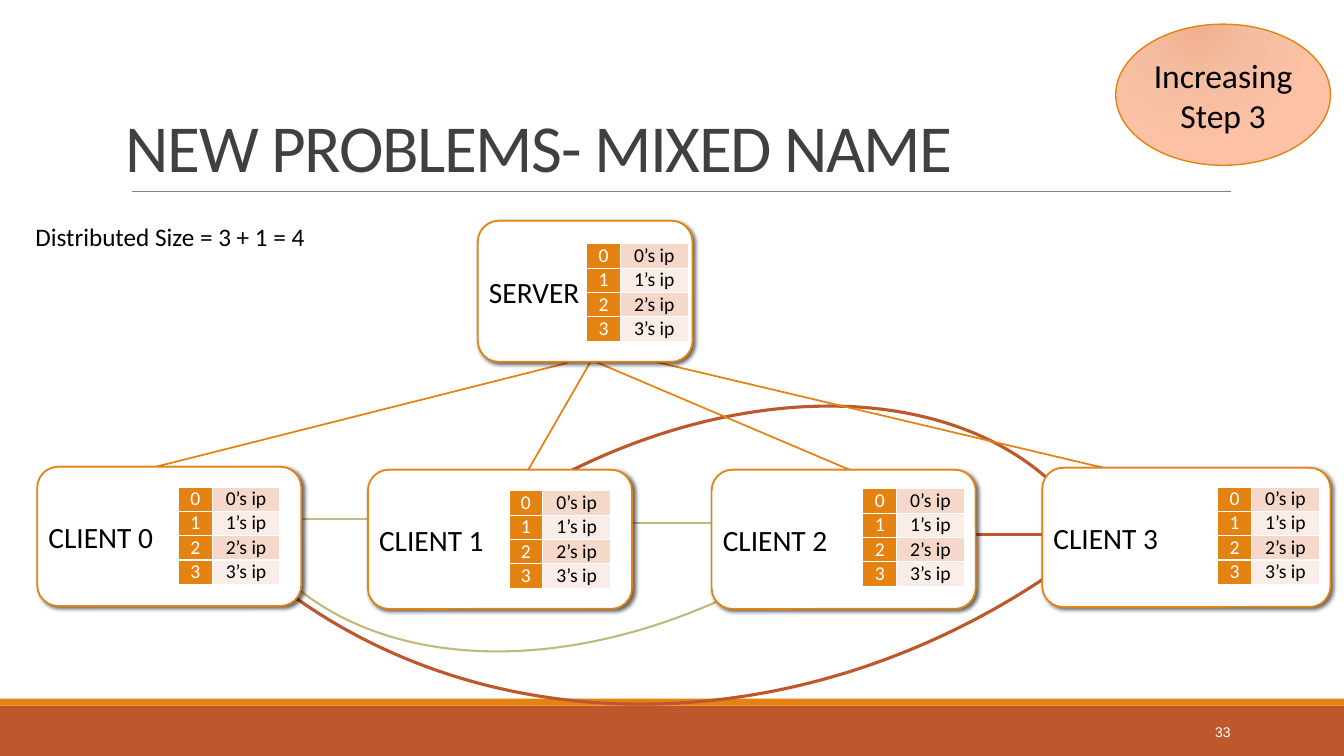
from lxml import etree
from pptx import Presentation
from pptx import util as u
from pptx.dml import color
from pptx.enum import shapes, text
from pptx.oxml import ns, parse_xml

Pt = u.Pt
COLORS = {
    "rust": "BD582C", "orange": "E48312", "olive": "BFB97C", "pale_olive": "C2BC80",
    "gray": "808080", "title": "404040", "black": "000000", "white": "FFFFFF",
    "band_dark": "F5D8CA", "band_light": "FAECE6",
    "peach_dark": "F0B08D", "peach": "F5BDA1", "peach_light": "FDC2A5",
}
PRESET = shapes.MSO_SHAPE
ALIGN = text.PP_ALIGN
ANCHOR = text.MSO_ANCHOR
DRAWING = ns.nsdecls("a")
PEERS = range(4)


def rgb(name):
    return color.RGBColor.from_string(COLORS[name])


def write_text(frame, content, size=18, tint="black", font="Calibri", align=ALIGN.LEFT,
               anchor=ANCHOR.TOP, inset=3.6, wrap=True, leading=None, tracking=None):
    frame.word_wrap = wrap
    frame.vertical_anchor = anchor
    for side in ("left", "top", "right", "bottom"):
        setattr(frame, f"margin_{side}", Pt(inset))
    for index, line in enumerate(content.split("\n")):
        para = frame.add_paragraph() if index else frame.paragraphs[0]
        para.alignment = align
        if leading:
            para.line_spacing = leading
        span = para.add_run()
        span.text = line
        span.font.size = Pt(size)
        span.font.name = font
        span.font.color.rgb = rgb(tint)
        if tracking is not None:
            span.font._element.set("spc", str(tracking * 100))


def add_text(page, box, content, **style):
    frame = page.shapes.add_textbox(*map(Pt, box)).text_frame
    write_text(frame, content, **style)


def add_preset(page, preset, box, fill=None, line=None, width=1.25):
    shape = page.shapes.add_shape(preset, *map(Pt, box))
    shape.shadow.inherit = False
    if fill:
        shape.fill.solid()
        shape.fill.fore_color.rgb = rgb(fill)
    else:
        shape.fill.background()
    if line:
        shape.line.color.rgb = rgb(line)
        shape.line.width = Pt(width)
    else:
        shape.line.fill.background()
    return shape


def add_line(page, start, end, tint, width):
    line = page.shapes.add_connector(shapes.MSO_CONNECTOR.STRAIGHT, *map(Pt, start + end))
    line.line.color.rgb = rgb(tint)
    line.line.width = Pt(width)
    etree.SubElement(line._element.spPr, ns.qn("a:effectLst"))


def add_arc(page, box, turn, tint, width):
    arc = add_preset(page, PRESET.ARC, box, line=tint, width=width)
    arc.rotation = turn


def add_frame(page, box):
    left, top, width, height = box
    add_preset(page, PRESET.RECTANGLE, (left, top + 504, width, 36), "rust")
    add_preset(page, PRESET.RECTANGLE, (left, top + 499, width, 5), "orange")
    add_line(page, (left + 94.3, top + 136.8), (left + 879.1, top + 136.8), "gray", 0.5)
    add_text(page, (left + 86.4, top + 22.3, 792, 114.5), "NEW PROBLEMS- MIXED NAME",
             size=48, tint="title", anchor=ANCHOR.BOTTOM, leading=0.85, tracking=-1)
    add_text(page, (left + 864, top + 514, 18.7, 18), "33", size=10, tint="white",
             font="Arial", align=ALIGN.RIGHT, anchor=ANCHOR.MIDDLE, wrap=False)
    add_text(page, (left + 21.6, top + 154.8, 224.6, 28.1),
             "Distributed Size = 3 + 1 = 4", wrap=False)


def add_links(page):
    add_arc(page, (20.9, -397.4, 992.9, 873.4), 138.7, "rust", 2.25)
    add_arc(page, (157.7, 321.8, 670.3, 461.5), 329, "rust", 2.25)
    add_arc(page, (122.4, -33.8, 670.3, 461.5), 145.7, "olive", 1.5)
    for left, right, level, tint, width in (
        (330.5, 604.1, 373.7, "olive", 1.5),
        (173.5, 262.8, 370.8, "pale_olive", 1.5),
        (676.8, 766.1, 381.6, "rust", 2.25),
    ):
        add_line(page, (left, level), (right, level), tint, width)
    for client_end, server_end in (
        ((105.8, 334.8), (405.4, 259.2)),
        ((370.8, 347), (428.4, 247)),
        ((642.2, 350.6), (425.5, 258.5)),
        ((824.4, 342.7), (437.8, 251.3)),
    ):
        add_line(page, client_end, server_end, "orange", 1.25)


def fill_cell(cell, content, fill, tint):
    write_text(cell.text_frame, content, size=14, tint=tint, align=ALIGN.CENTER, inset=0)
    for side in ("left", "top", "right", "bottom"):
        setattr(cell, f"margin_{side}", 0)
    properties = cell._tc.get_or_add_tcPr()
    for edge in ("lnL", "lnR", "lnT", "lnB"):
        properties.append(parse_xml(
            f'<a:{edge} {DRAWING} w="12700"><a:solidFill>'
            f'<a:srgbClr val="{COLORS["white"]}"/></a:solidFill></a:{edge}>'))
    cell.fill.solid()
    cell.fill.fore_color.rgb = rgb(fill)


def add_address_table(page, left, top):
    box = map(Pt, (left, top, 72.6, 69.6))
    table = page.shapes.add_table(len(PEERS), 2, *box).table
    for column, width in zip(table.columns, (24.2, 48.4)):
        column.width = Pt(width)
    for peer in PEERS:
        table.rows[peer].height = Pt(17.4)
        band = "band_light" if peer % 2 else "band_dark"
        fill_cell(table.cell(peer, 0), str(peer), "orange", "white")
        fill_cell(table.cell(peer, 1), f"{peer}’s ip", band, "black")


def add_node(page, box, name, table_offset):
    node = add_preset(page, PRESET.ROUNDED_RECTANGLE, box, "white", "orange")
    node.adjustments[0] = 0.15
    effects = node._element.spPr.find(ns.qn("a:effectLst"))
    effects.append(parse_xml(
        f'<a:outerShdw {DRAWING} blurRad="38100" dist="25400" dir="2700000" '
        f'algn="tl" rotWithShape="0"><a:srgbClr val="{COLORS["black"]}">'
        '<a:alpha val="60000"/></a:srgbClr></a:outerShdw>'))
    write_text(node.text_frame, name, size=21, anchor=ANCHOR.MIDDLE)
    add_address_table(page, box[0] + table_offset[0], box[1] + table_offset[1])


def add_step_badge(page, box):
    badge = add_preset(page, PRESET.OVAL, box, "peach", "orange", 1)
    stops = "".join(
        f'<a:gs pos="{place * 1000}"><a:srgbClr val="{COLORS[tint]}"/></a:gs>'
        for place, tint in ((0, "peach_dark"), (45, "peach"), (100, "peach_light")))
    gradient = parse_xml(
        f'<a:gradFill {DRAWING} rotWithShape="1"><a:gsLst>{stops}</a:gsLst>'
        '<a:path path="circle"><a:fillToRect l="38000" t="-20000" r="62000" b="120000"/>'
        '</a:path></a:gradFill>')
    properties = badge._element.spPr
    properties.replace(properties.find(ns.qn("a:solidFill")), gradient)
    write_text(badge.text_frame, "Increasing\nStep 3", size=24,
               align=ALIGN.CENTER, anchor=ANCHOR.MIDDLE)


def main():
    deck = Presentation()
    deck.slide_width, deck.slide_height = Pt(960), Pt(540)
    page = deck.slides.add_slide(deck.slide_layouts[6])
    add_frame(page, (0, 0, 960, 540))
    add_links(page)
    for box, name, table_offset in (
        ((341.3, 157.7, 153.4, 100.8), "SERVER", (77.7, 16.5)),
        ((26.6, 333.4, 188.6, 99.4), "CLIENT 0", (100.8, 14.4)),
        ((262.8, 335.5, 188.6, 99.4), "CLIENT 1", (100.8, 15.1)),
        ((508.3, 335.5, 188.6, 99.4), "CLIENT 2", (108, 13.7)),
        ((744.5, 334.1, 205.9, 99.4), "CLIENT 3", (125.3, 13.7)),
    ):
        add_node(page, box, name, table_offset)
    add_step_badge(page, (797, 17.3, 153.4, 100.8))
    deck.save("out.pptx")


if __name__ == "__main__":
    main()
